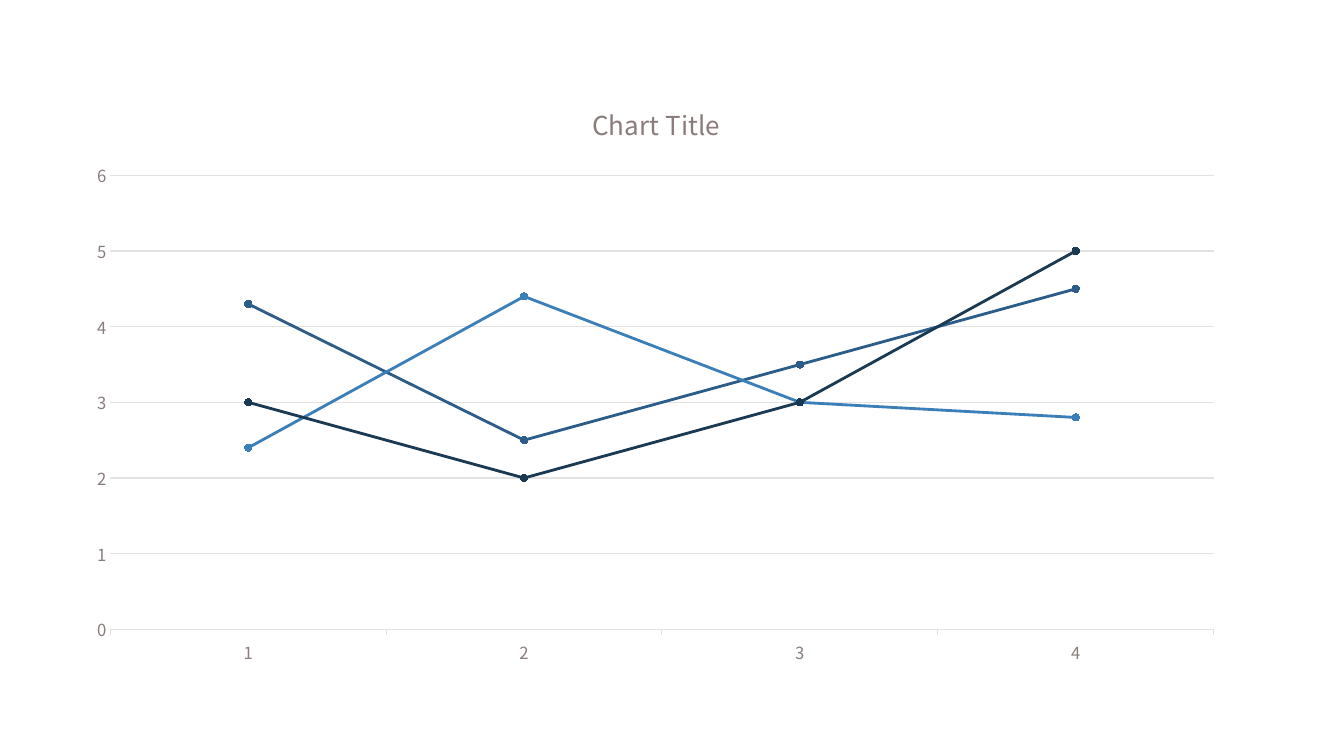
from lxml import etree
from pptx import Presentation
from pptx.chart.data import CategoryChartData
from pptx.dml.color import RGBColor
from pptx.enum.chart import XL_CHART_TYPE, XL_MARKER_STYLE, XL_TICK_MARK
from pptx.oxml.ns import qn
from pptx.util import Emu, Pt

LINE_MARKERS = XL_CHART_TYPE.LINE_MARKERS
CIRCLE = XL_MARKER_STYLE.CIRCLE
TICK_OUT, TICK_NONE = XL_TICK_MARK.OUTSIDE, XL_TICK_MARK.NONE

PX = 9525  # EMU in one px, 96 px to the inch
FONT = "Noto Sans CJK SC"
COLORS = {
    "background": "FFFFFF",
    "text": "453D3D",
    "label": "8B7C7C",
    "grid": "E4E1E1",
    "Series 1": "2B5D88",
    "Series 2": "3A7FB8",
    "Series 3": "1A3952",
}
CATEGORIES = ["1", "2", "3", "4"]
SERIES = {
    "Series 1": [4.3, 2.5, 3.5, 4.5],
    "Series 2": [2.4, 4.4, 3, 2.8],
    "Series 3": [3, 2, 3, 5],
}
PLOT_LAYOUT = {"x": 0.03, "y": 0.16, "w": 0.95, "h": 0.76}


def color(name):
    return RGBColor.from_string(COLORS[name])


def set_font(font, size, color_name):
    font.name = FONT
    font.size = Pt(size)
    font.bold = False
    font.color.rgb = color(color_name)


def write(frame, text, size=18, color_name="text"):
    span = frame.paragraphs[0].add_run()
    span.text = text
    set_font(span.font, size, color_name)


class SlideBuilder:
    """Holds the deck's style and its current slide."""

    def __init__(self, deck):
        self.slide = deck.slides.add_slide(deck.slide_layouts[6])
        fill = self.slide.background.fill
        fill.solid()
        fill.fore_color.rgb = color("background")

    def line(self, line_format, color_name, width):
        line_format.color.rgb = color(color_name)
        line_format.width = Pt(width)

    def line_chart(self, left, top, width, height, title):
        data = CategoryChartData()
        data.categories = CATEGORIES
        for name, values in SERIES.items():
            data.add_series(name, values)
        box = [Emu(length * PX) for length in (left, top, width, height)]
        chart = self.slide.shapes.add_chart(LINE_MARKERS, *box, data).chart
        set_font(chart.font, 10, "text")
        chart.has_legend = False
        chart.has_title = True
        write(chart.chart_title.text_frame, title, size=18.6, color_name="label")
        chart.chart_title.include_in_layout = False
        self.style_axes(chart)
        self.style_series(chart.plots[0])
        self.place_plot(chart)

    def style_axes(self, chart):
        across, up = chart.category_axis, chart.value_axis
        for axis, tick in ((across, TICK_OUT), (up, TICK_NONE)):
            set_font(axis.tick_labels.font, 11.9, "label")
            axis.major_tick_mark = tick
            axis.minor_tick_mark = TICK_NONE
        self.line(across.format.line, "grid", 0.75)
        up.format.line.fill.background()
        up.minimum_scale, up.maximum_scale, up.major_unit = 0, 6, 1
        up.has_major_gridlines = True
        self.line(up.major_gridlines.format.line, "grid", 0.75)

    def style_series(self, plot):
        plot.vary_by_categories = False
        for series in plot.series:
            series.smooth = False
            self.line(series.format.line, series.name, 2)
            marker = series.marker
            marker.style = CIRCLE
            marker.size = 5
            marker.format.fill.solid()
            marker.format.fill.fore_color.rgb = color(series.name)
            self.line(marker.format.line, series.name, 0.75)

    def place_plot(self, chart):
        # Fix the inner plot area as fractions of the chart
        area = chart.plots[0].series[0].format.line  # ensures series exist
        area = chart.element.find(f".//{qn('c:plotArea')}")
        for layout in area.findall(qn("c:layout")):
            area.remove(layout)
        layout = etree.Element(qn("c:layout"))
        area.insert(0, layout)
        manual = etree.SubElement(layout, qn("c:manualLayout"))
        settings = {"layoutTarget": "inner", "xMode": "edge", "yMode": "edge"}
        for tag, value in {**settings, **PLOT_LAYOUT}.items():
            etree.SubElement(manual, qn(f"c:{tag}")).set("val", str(value))


def main():
    deck = Presentation()
    deck.slide_width, deck.slide_height = Emu(1280 * PX), Emu(720 * PX)
    builder = SlideBuilder(deck)
    builder.line_chart(72, 76, 1106, 569, "Chart Title")
    deck.save("out.pptx")


if __name__ == "__main__":
    main()
